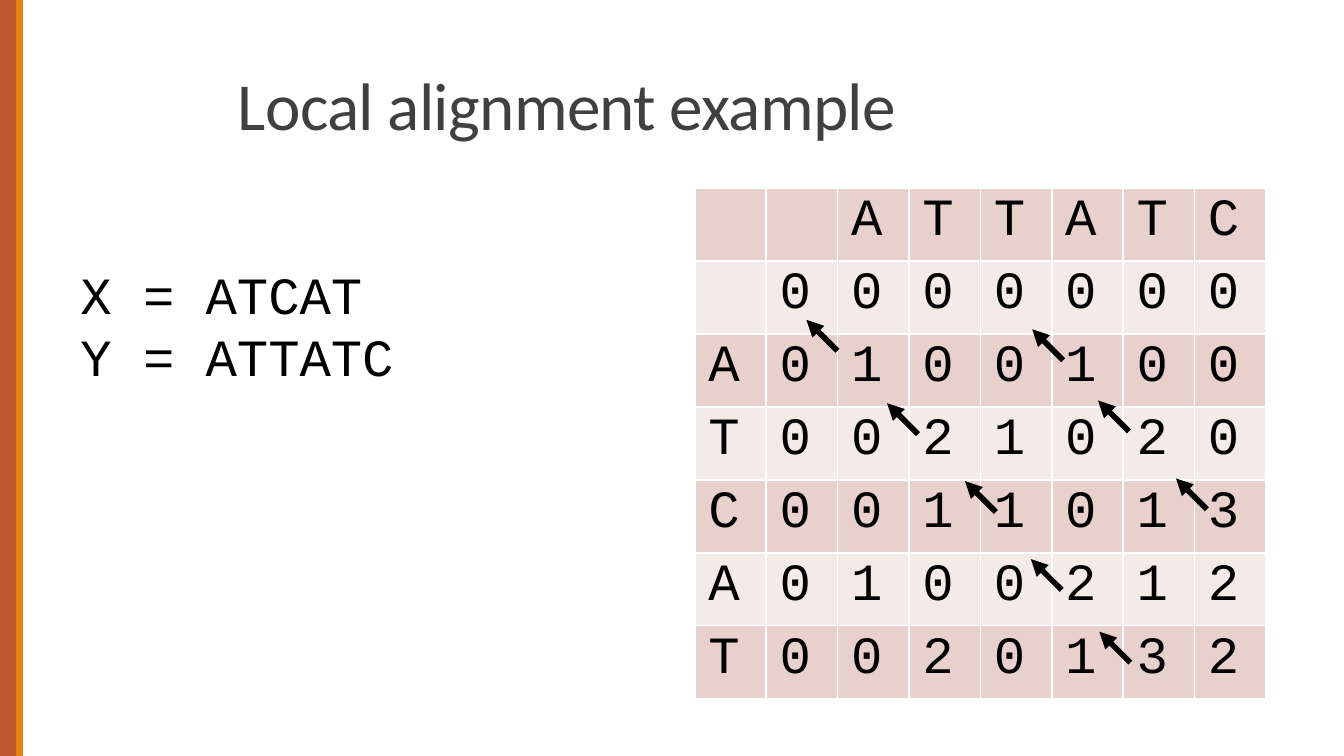
from pptx import Presentation
from pptx.dml.color import RGBColor
from pptx.enum.shapes import MSO_CONNECTOR, MSO_SHAPE
from pptx.enum.text import MSO_ANCHOR, PP_ALIGN
from pptx.oxml.ns import qn
from pptx.util import Inches, Pt
from lxml.etree import SubElement

BLACK = RGBColor(0x00, 0x00, 0x00)
GREY = RGBColor(0x40, 0x40, 0x40)
RUST = RGBColor(0xBD, 0x58, 0x2C)
ORANGE = RGBColor(0xE4, 0x83, 0x12)
ROSE = RGBColor(0xE8, 0xD1, 0xCD)
PALE = RGBColor(0xF4, 0xEA, 0xE8)

# First row: letters of Y; first column: letters of X
SCORES = [
    "  ATTATC",
    " 0000000",
    "A0100100",
    "T0021020",
    "C0011013",
    "A0100212",
    "T0020132",
]
# Arrow tips of the two tracebacks
TIPS = [
    (8.75, 3.56), (8.17, 2.98), (7.68, 2.45),
    (8.18, 4.7), (7.67, 4.16), (7.18, 3.58), (6.6, 3), (6, 2.38),
]
STEP = 0.23


def write(frame, text, font="Courier New", size=28, color=BLACK,
          spacing=None, track=None):
    """Fill a text frame, one paragraph per line of text."""
    frame.text = text
    for para in frame.paragraphs:
        para.alignment = PP_ALIGN.LEFT
        para.line_spacing = spacing
        for item in [para, *para.runs]:
            item.font.name = font
            item.font.size = Pt(size)
            item.font.color.rgb = color
        if track is not None:
            for run in para.runs:
                run.font._element.set("spc", str(track))


class Deck:
    def __init__(self):
        self.prs = Presentation()
        self.prs.slide_width = Inches(10)
        self.prs.slide_height = Inches(10) * 9 // 16
        self.slide = self.prs.slides.add_slide(self.prs.slide_layouts[5])
        self.shapes = self.slide.shapes

    def stripe(self, left, wide, color):
        bar = self.shapes.add_shape(
            MSO_SHAPE.RECTANGLE, Inches(left), 0,
            Inches(wide), self.prs.slide_height)
        bar.shadow.inherit = False
        bar.fill.solid()
        bar.fill.fore_color.rgb = color
        bar.line.fill.background()

    def title(self, text, left, top, wide, high):
        title = self.shapes.title
        title.left, title.top = Inches(left), Inches(top)
        title.width, title.height = Inches(wide), Inches(high)
        frame = title.text_frame
        frame.vertical_anchor = MSO_ANCHOR.BOTTOM
        write(frame, text, font="Calibri", size=36, color=GREY,
              spacing=0.85, track=-40)

    def text(self, text, left, top, wide, high):
        box = self.shapes.add_textbox(
            Inches(left), Inches(top), Inches(wide), Inches(high))
        box.text_frame.word_wrap = True
        write(box.text_frame, text)

    def border(self, cell):
        props = cell._tc.get_or_add_tcPr()
        for side in ("a:lnL", "a:lnR", "a:lnT", "a:lnB"):
            line = SubElement(props, qn(side), w=str(Pt(1)))
            fill = SubElement(line, qn("a:solidFill"))
            SubElement(fill, qn("a:srgbClr"), val="FFFFFF")

    def table(self, rows, left, top, wide, high):
        table = self.shapes.add_table(
            len(rows), len(rows[0]), Inches(left), Inches(top),
            Inches(wide), Inches(high)).table
        table.first_row = table.horz_banding = False
        for r, row in enumerate(rows):
            for c, mark in enumerate(row):
                cell = table.cell(r, c)
                cell.margin_top = cell.margin_bottom = Inches(0.03)
                write(cell.text_frame, mark.strip())
                self.border(cell)
                cell.fill.solid()
                cell.fill.fore_color.rgb = PALE if r % 2 else ROSE

    def arrow(self, x, y):
        """Point up and left to the tip at x, y."""
        arrow = self.shapes.add_connector(
            MSO_CONNECTOR.STRAIGHT, Inches(x + STEP), Inches(y + STEP),
            Inches(x), Inches(y))
        arrow.line.color.rgb = BLACK
        arrow.line.width = Pt(3)
        SubElement(arrow.line._get_or_add_ln(), qn("a:tailEnd"),
                   type="triangle")
        SubElement(arrow._element.spPr, qn("a:effectLst"))


def main():
    deck = Deck()
    # Side stripes
    deck.stripe(0, 0.17, RUST)
    deck.stripe(0.12, 0.05, ORANGE)
    # Title and sequences
    deck.title("Local alignment example", 1.67, 0.31, 8.17, 0.81)
    deck.text("X = ATCAT\nY = ATTATC", 0.5, 1.9, 3.25, 1.45)
    # Score matrix with traceback arrows
    deck.table(SCORES, 5.17, 1.4, 4.25, 3.8)
    for tip in TIPS:
        deck.arrow(*tip)
    deck.prs.save("out.pptx")


if __name__ == "__main__":
    main()
